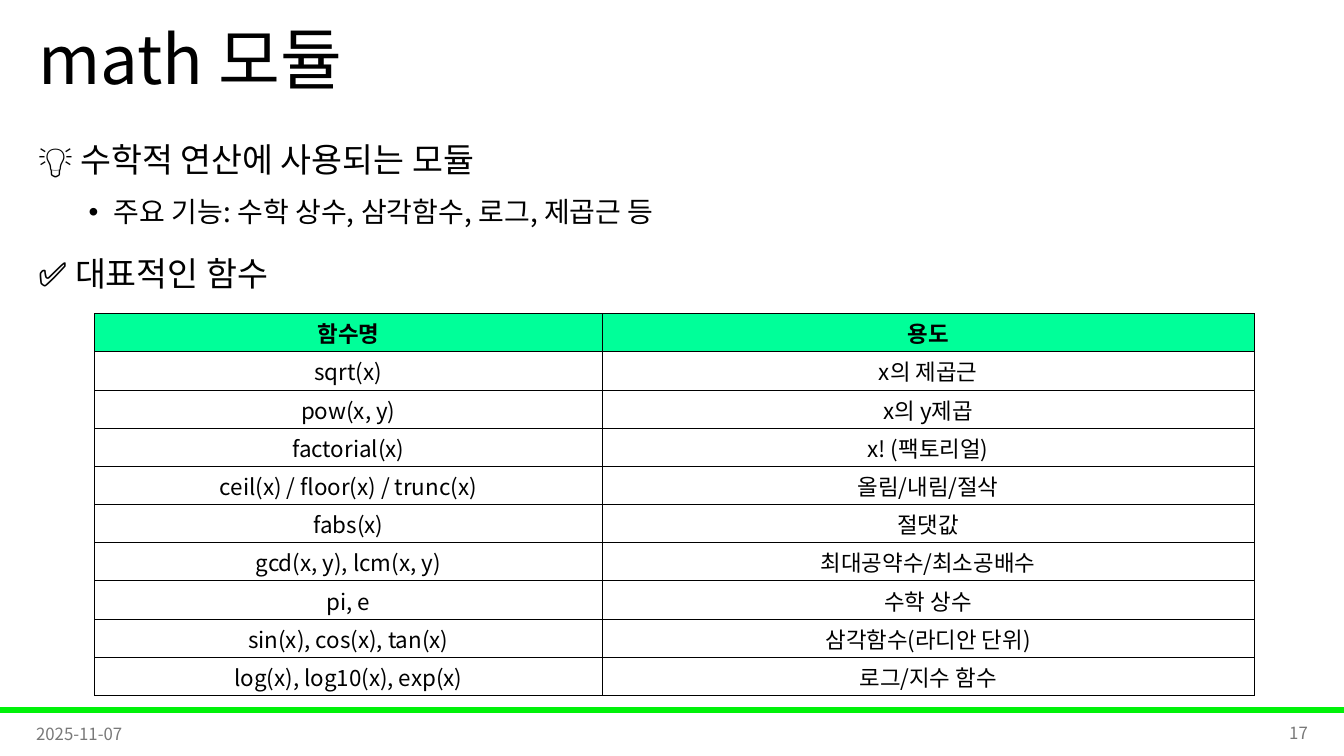
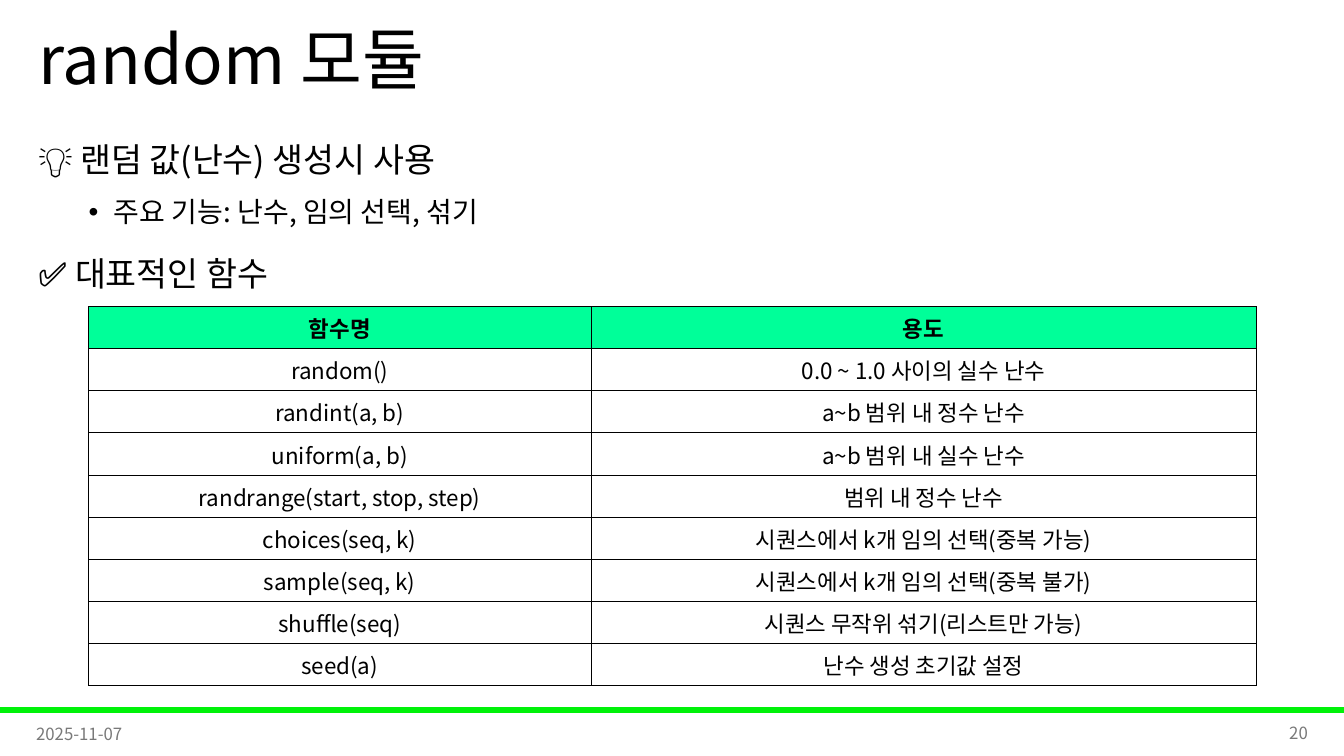
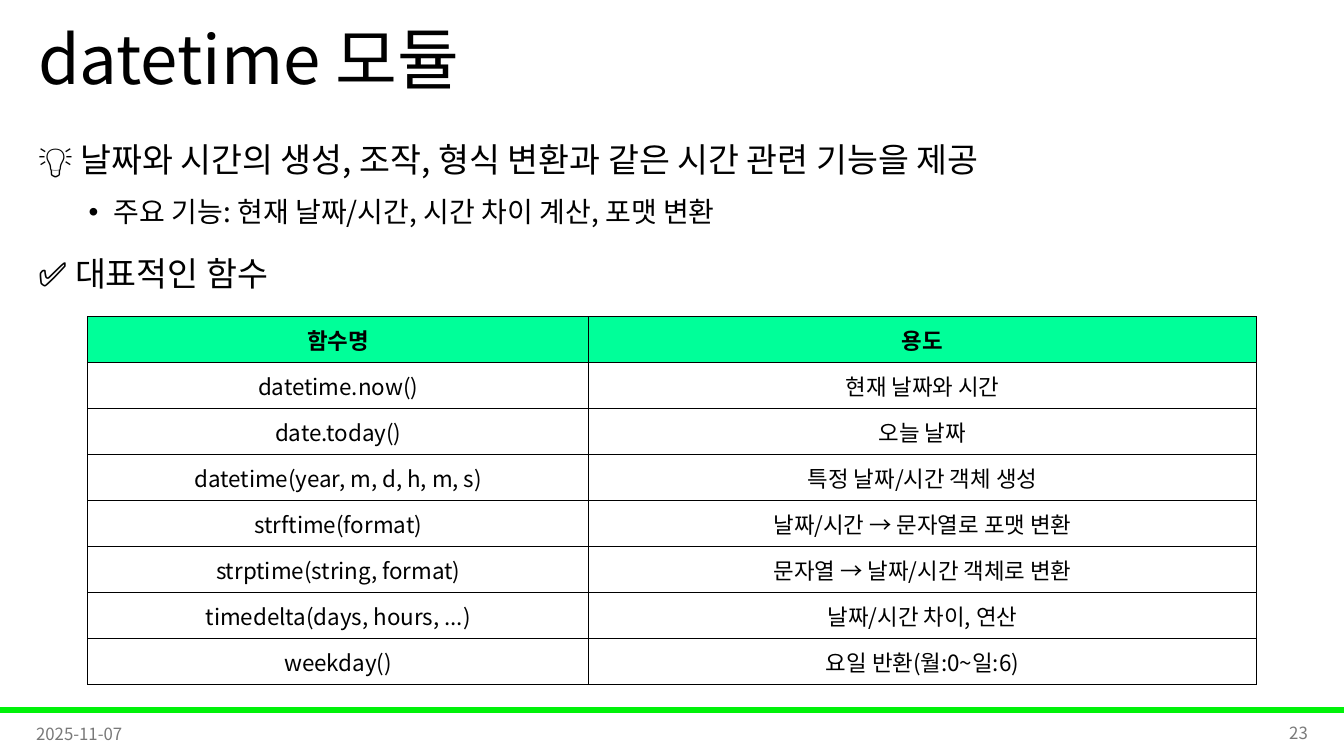
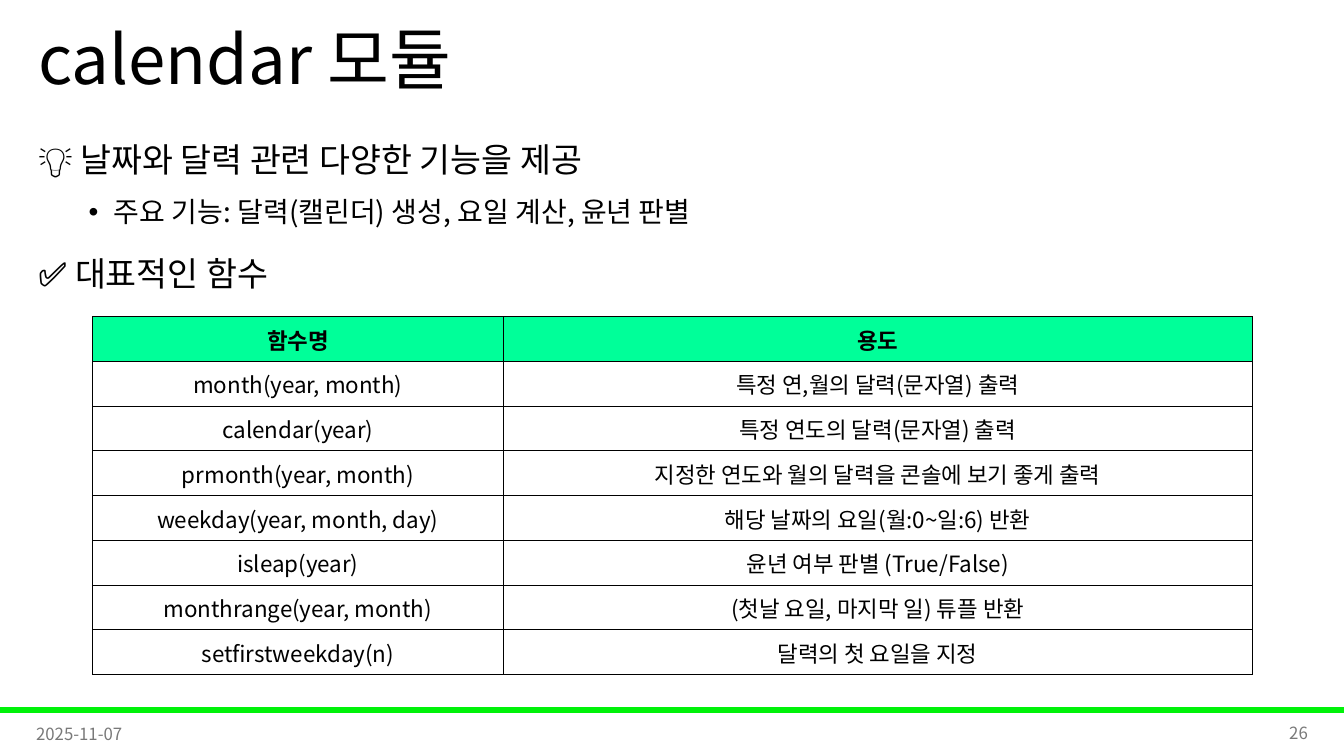
from lxml.etree import SubElement
from pptx import Presentation
from pptx.dml.color import RGBColor
from pptx.enum.shapes import MSO_SHAPE
from pptx.enum.text import MSO_ANCHOR, PP_ALIGN
from pptx.oxml import parse_xml
from pptx.oxml.ns import nsdecls, qn
from pptx.util import Pt

PX = 9144  # 100 px to the inch
FONT = "Noto Sans CJK KR"
BLACK, GREY, GREEN, MINT = "000000", "797979", "00F209", "00FF99"

TITLE_BOX = (28, 0, 1150, 125)
BODY_BOX = (28, 109, 1150, 205)
DATE_BOX = (26, 708, 300, 40)
NUMBER_BOX = (1007, 707, 300, 40)

MIDDLE = {"vertical_anchor": MSO_ANCHOR.MIDDLE}
BODY_FRAME = {"vertical_anchor": MSO_ANCHOR.TOP, "margin_top": 19 * PX}
CELL_FORMAT = {
    "vertical_anchor": MSO_ANCHOR.MIDDLE,
    "margin_left": PX,
    "margin_right": PX,
    "margin_top": PX,
    "margin_bottom": 0,
}
TITLE_LINE = {"line_spacing": 0.9}
FIRST_LINE = {"line_spacing": 1.25}
FEATURE_LINE = {"line_spacing": 1.25, "space_before": Pt(5), "level": 1}
HEADING_LINE = {"line_spacing": 1.25, "space_before": Pt(10)}
CENTRED = {"alignment": PP_ALIGN.CENTER}
RIGHT = {"alignment": PP_ALIGN.RIGHT}

HEADER = ("함수명", "용도")
MODULES = [
    {
        "title": "math 모듈",
        "number": "17",
        "summary": "💡 수학적 연산에 사용되는 모듈",
        "features": "주요 기능: 수학 상수, 삼각함수, 로그, 제곱근 등",
        "table_box": (94, 311, 1150, 379),
        "name_width": 503,
        "functions": [
            ("sqrt(x)", "x의 제곱근"),
            ("pow(x, y)", "x의 y제곱"),
            ("factorial(x)", "x! (팩토리얼)"),
            ("ceil(x) / floor(x) / trunc(x)", "올림/내림/절삭"),
            ("fabs(x)", "절댓값"),
            ("gcd(x, y), lcm(x, y)", "최대공약수/최소공배수"),
            ("pi, e", "수학 상수"),
            ("sin(x), cos(x), tan(x)", "삼각함수(라디안 단위)"),
            ("log(x), log10(x), exp(x)", "로그/지수 함수"),
        ],
    },
    {
        "title": "random 모듈",
        "number": "20",
        "summary": "💡 랜덤 값(난수) 생성시 사용",
        "features": "주요 기능: 난수, 임의 선택, 섞기",
        "table_box": (88, 304, 1158, 376),
        "name_width": 498,
        "functions": [
            ("random()", "0.0 ~ 1.0 사이의 실수 난수"),
            ("randint(a, b)", "a~b 범위 내 정수 난수"),
            ("uniform(a, b)", "a~b 범위 내 실수 난수"),
            ("randrange(start, stop, step)", "범위 내 정수 난수"),
            ("choices(seq, k)", "시퀀스에서 k개 임의 선택(중복 가능)"),
            ("sample(seq, k)", "시퀀스에서 k개 임의 선택(중복 불가)"),
            ("shuffle(seq)", "시퀀스 무작위 섞기(리스트만 가능)"),
            ("seed(a)", "난수 생성 초기값 설정"),
        ],
    },
    {
        "title": "datetime 모듈",
        "number": "23",
        "summary": "💡 날짜와 시간의 생성, 조작, 형식 변환과 같은 시간 관련 기능을 제공",
        "features": "주요 기능: 현재 날짜/시간, 시간 차이 계산, 포맷 변환",
        "table_box": (87, 314, 1159, 365),
        "name_width": 497,
        "functions": [
            ("datetime.now()", "현재 날짜와 시간"),
            ("date.today()", "오늘 날짜"),
            ("datetime(year, m, d, h, m, s)", "특정 날짜/시간 객체 생성"),
            ("strftime(format)", "날짜/시간 → 문자열로 포맷 변환"),
            ("strptime(string, format)", "문자열 → 날짜/시간 객체로 변환"),
            ("timedelta(days, hours, ...)", "날짜/시간 차이, 연산"),
            ("weekday()", "요일 반환(월:0~일:6)"),
        ],
    },
    {
        "title": "calendar 모듈",
        "number": "26",
        "summary": "💡 날짜와 달력 관련 다양한 기능을 제공",
        "features": "주요 기능: 달력(캘린더) 생성, 요일 계산, 윤년 판별",
        "table_box": (92, 314, 1150, 355),
        "name_width": 407,
        "functions": [
            ("month(year, month)", "특정 연,월의 달력(문자열) 출력"),
            ("calendar(year)", "특정 연도의 달력(문자열) 출력"),
            ("prmonth(year, month)", "지정한 연도와 월의 달력을 콘솔에 보기 좋게 출력"),
            ("weekday(year, month, day)", "해당 날짜의 요일(월:0~일:6) 반환"),
            ("isleap(year)", "윤년 여부 판별 (True/False)"),
            ("monthrange(year, month)", "(첫날 요일, 마지막 일) 튜플 반환"),
            ("setfirstweekday(n)", "달력의 첫 요일을 지정"),
        ],
    },
]


def set_values(target, values):
    for key, value in values.items():
        setattr(target, key, value)


def write(paragraph, text, size, color=BLACK, bold=False, layout={}):
    """Add one formatted run; level 1 paragraphs get a round bullet."""
    set_values(paragraph, layout)
    if paragraph.level:
        properties = paragraph._p.get_or_add_pPr()
        properties.set("marL", str(75 * PX))
        properties.set("indent", str(-25 * PX))
        SubElement(properties, qn("a:buFont"), typeface="Arial")
        SubElement(properties, qn("a:buChar"), char="•")
    run = paragraph.add_run()
    run.text = text
    set_values(run.font, {"size": Pt(size), "bold": bold, "name": FONT})
    run.font.color.rgb = RGBColor.from_string(color)
    SubElement(run._r.get_or_add_rPr(), qn("a:ea"), typeface=FONT)


deck = Presentation()
set_values(deck, {"slide_width": 1333 * PX, "slide_height": 750 * PX})

for module in MODULES:
    slide = deck.slides.add_slide(deck.slide_layouts[6])

    band = slide.shapes.add_shape(MSO_SHAPE.RECTANGLE, 0, 702 * PX, deck.slide_width, 5 * PX)
    band.shadow.inherit = False
    band.fill.solid()
    band.fill.fore_color.rgb = RGBColor.from_string(GREEN)
    band.line.color.rgb = RGBColor.from_string(GREEN)
    band.line.width = Pt(1)

    texts = [
        (TITLE_BOX, MIDDLE, [(module["title"], 48, BLACK, TITLE_LINE)]),
        (BODY_BOX, BODY_FRAME, [
            (module["summary"], 24, BLACK, FIRST_LINE),
            (module["features"], 20, BLACK, FEATURE_LINE),
            ("✅ 대표적인 함수", 24, BLACK, HEADING_LINE),
        ]),
        (DATE_BOX, MIDDLE, [("2025-11-07", 12, GREY, {})]),
        (NUMBER_BOX, MIDDLE, [(module["number"], 12, GREY, RIGHT)]),
    ]
    for box, frame_format, lines in texts:
        frame = slide.shapes.add_textbox(*(length * PX for length in box)).text_frame
        set_values(frame, {"word_wrap": True, **frame_format})
        for index, (text, size, color, layout) in enumerate(lines):
            paragraph = frame.add_paragraph() if index else frame.paragraphs[0]
            write(paragraph, text, size, color, layout=layout)

    rows = [HEADER, *module["functions"]]
    left, top, width, height = (length * PX for length in module["table_box"])
    table = slide.shapes.add_table(len(rows), 2, left, top, width, height).table
    table.horz_banding = False
    table.columns[0].width = module["name_width"] * PX
    table.columns[1].width = width - table.columns[0].width
    for row_index, row in enumerate(rows):
        is_header = row_index == 0
        table.rows[row_index].height = height // len(rows)
        for column_index, text in enumerate(row):
            cell = table.cell(row_index, column_index)
            set_values(cell, CELL_FORMAT)
            if is_header:
                cell.fill.solid()
                cell.fill.fore_color.rgb = RGBColor.from_string(MINT)
            else:
                cell.fill.background()
            write(cell.text_frame.paragraphs[0], text, 16, bold=is_header, layout=CENTRED)
            for position, edge in enumerate(("lnL", "lnR", "lnT", "lnB")):
                cell._tc.get_or_add_tcPr().insert(position, parse_xml(
                    f'<a:{edge} {nsdecls("a")} w="{Pt(0.5)}"><a:solidFill>'
                    f'<a:srgbClr val="{BLACK}"/></a:solidFill></a:{edge}>'))

deck.save("out.pptx")
